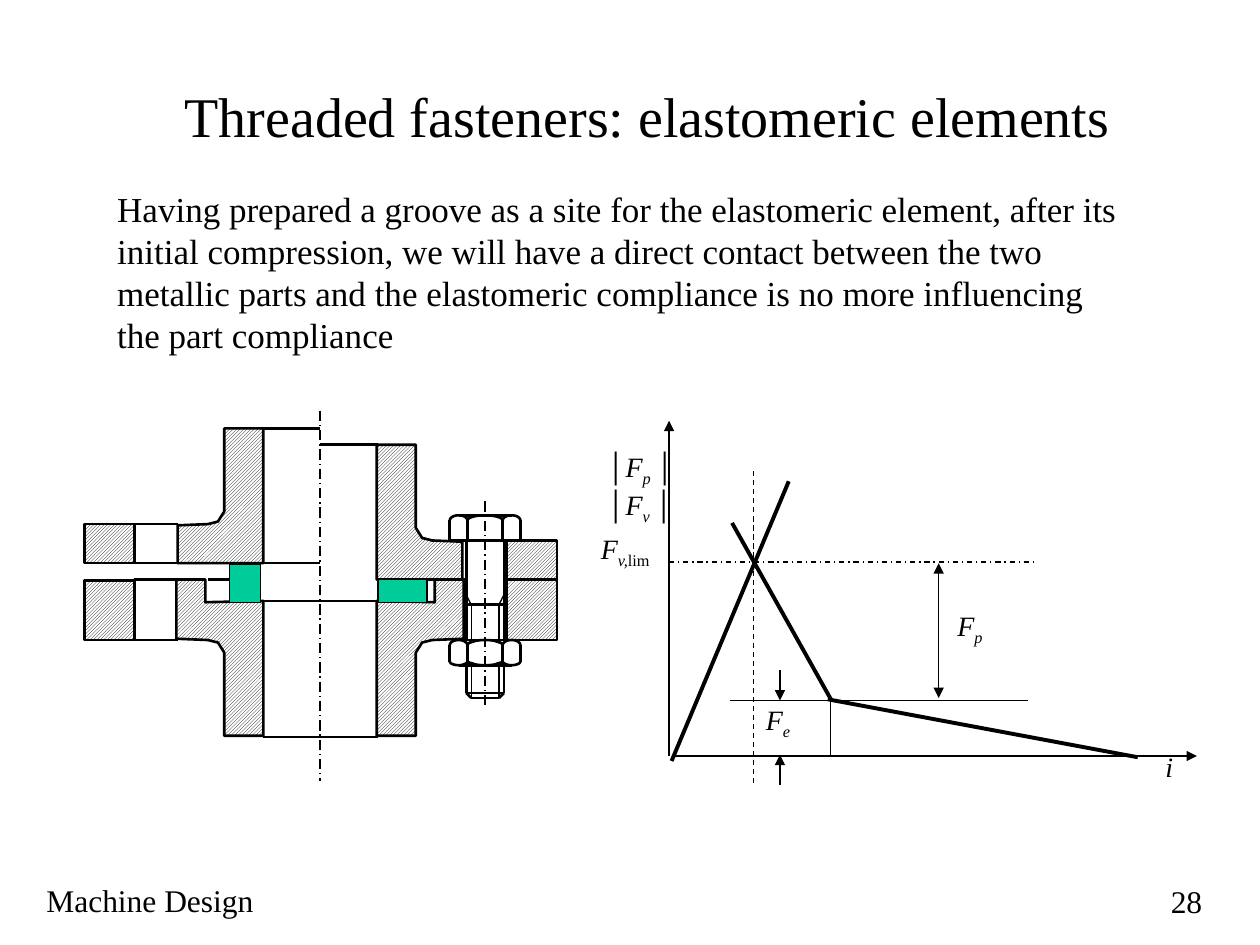
"""Build the slide on elastomeric elements in threaded fasteners."""
import math
from typing import NamedTuple

from lxml import etree
from pptx import Presentation
from pptx import util as u
from pptx.dml.color import RGBColor
from pptx.enum import dml, shapes, text
from pptx.oxml.ns import qn

HUES = {"ink": "000000", "paper": "FFFFFF", "seal": "00CC99"}
FACE = "Times New Roman"
DASH = dml.MSO_LINE
MID = 2.54
BOLT = 3.85


class Line(NamedTuple):
    x1: float
    y1: float
    x2: float
    y2: float
    width: float = 0.75
    dash: dml.MSO_LINE | None = None
    ends: tuple[str, ...] = ()


class Label(NamedTuple):
    x: float
    y: float
    w: float
    h: float
    rows: list[list[tuple[str, str]]]
    size: int = 16
    align: text.PP_ALIGN = text.PP_ALIGN.LEFT
    wrap: bool = True


class Box(NamedTuple):
    x: float
    y: float
    w: float
    h: float
    hatch: bool = False


def hue(name: str) -> RGBColor:
    return RGBColor.from_string(HUES[name])


def draw_line(tree, line: Line) -> None:
    ends = [u.Inches(v) for v in line[:4]]
    wire = tree.add_connector(shapes.MSO_CONNECTOR.STRAIGHT, *ends)
    wire.line.color.rgb = hue("ink")
    wire.line.width = u.Pt(line.width)
    if line.dash is not None:
        wire.line.dash_style = line.dash
    for end in line.ends:
        etree.SubElement(wire.get_or_add_ln(), qn(f"a:{end}End"), type="triangle")
    etree.SubElement(wire._element.spPr, qn("a:effectLst"))


def style(shape, width: float, hatch: bool = False) -> None:
    shape.shadow.inherit = False
    shape.line.color.rgb = hue("ink")
    shape.line.width = u.Pt(width)
    if hatch:
        shape.fill.patterned()
        shape.fill.pattern = dml.MSO_PATTERN.LIGHT_UPWARD_DIAGONAL
        shape.fill.fore_color.rgb = hue("ink")
        shape.fill.back_color.rgb = hue("paper")
    else:
        shape.fill.background()


def draw_box(tree, box: Box) -> None:
    sides = [u.Inches(v) for v in box[:4]]
    shape = tree.add_shape(shapes.MSO_SHAPE.RECTANGLE, *sides)
    style(shape, 1.5 if box.hatch else 0.75, box.hatch)
    if not box.hatch:
        shape.fill.solid()
        shape.fill.fore_color.rgb = hue("seal")


def draw_path(tree, dots: list[tuple[float, float]], width: float = 1.5,
              closed: bool = True, hatch: bool = False) -> None:
    dots = [(u.Inches(x), u.Inches(y)) for x, y in dots]
    pen = tree.build_freeform(*dots[0])
    pen.add_line_segments(dots[1:], close=closed)
    style(pen.convert_to_shape(), width, hatch)


def draw_arcs(tree, base: float, rise: float) -> None:
    for mid, rad in ((-0.21, 0.07), (0, 0.14), (0.21, 0.07)):
        turns = [math.pi * k / 12 for k in range(13)]
        dots = [(BOLT + mid + rad * math.cos(t), base - rise * math.sin(t)) for t in turns]
        draw_path(tree, dots, closed=False)


def draw_label(tree, label: Label) -> None:
    box = tree.add_textbox(*[u.Inches(v) for v in label[:4]])
    frame = box.text_frame
    frame.word_wrap = label.wrap
    for k, row in enumerate(label.rows):
        para = frame.add_paragraph() if k else frame.paragraphs[0]
        para.alignment = label.align
        for words, marks in row:
            run = para.add_run()
            run.text = words
            run.font.name = FACE
            run.font.size = u.Pt(label.size)
            run.font.color.rgb = hue("ink")
            run.font.italic = "i" in marks
            if "s" in marks:
                run._r.get_or_add_rPr().set("baseline", "-25000")


def fill_holder(holder, words: str, spot: tuple, size: int, align) -> None:
    holder.left, holder.top, holder.width, holder.height = [u.Inches(v) for v in spot]
    frame = holder.text_frame
    frame.text = words
    frame.word_wrap = True
    frame.auto_size = text.MSO_AUTO_SIZE.NONE
    frame.vertical_anchor = text.MSO_ANCHOR.TOP
    para = frame.paragraphs[0]
    props = para._p.get_or_add_pPr()
    props.set("marL", "0")
    props.set("indent", "0")
    etree.SubElement(props, qn("a:buNone"))
    para.alignment = align
    para.space_before = u.Pt(0)
    font = para.runs[0].font
    font.name, font.size = FACE, u.Pt(size)
    font.color.rgb = hue("ink")


def draw_graph(tree) -> None:
    for line in (
        Line(5.31, 6, 5.31, 3.34, ends=("tail",)),
        Line(5.33, 6, 9.5, 6, ends=("tail",)),
        Line(5.31, 4.46, 8.22, 4.46, dash=DASH.DASH_DOT),
        Line(5.33, 6.04, 6.26, 3.82, 2.25),
        Line(9.03, 6.01, 6.57, 5.55, 2.25),
        Line(5.98, 3.74, 5.98, 6.22, dash=DASH.DASH),
        Line(6.6, 5.56, 5.81, 4.15, 2.25),
        Line(5.79, 5.56, 8.16, 5.56),
        Line(6.59, 5.56, 6.59, 5.99),
        Line(7.45, 4.47, 7.45, 5.54, ends=("head", "tail")),
        Line(6.19, 5.56, 6.19, 5.32, ends=("head",)),
        Line(6.19, 6.23, 6.19, 5.99, ends=("tail",)),
    ):
        draw_line(tree, line)
    bars = [[("│", ""), ("F", "i"), (f"{sub} ", "is"), ("│", "")] for sub in "pv"]
    for label in (
        Label(4.71, 3.52, 0.87, 0.64, bars),
        Label(9.15, 5.9, 0.26, 0.37, [[("i", "i")]], wrap=False),
        Label(4.67, 4.17, 0.91, 0.37, [[("F", "i"), ("v,", "is"), ("lim", "s")]]),
        Label(5.98, 5.53, 0.52, 0.37, [[("F", "i"), ("e", "is")]]),
        Label(7.5, 4.78, 0.52, 0.37, [[("F", "i"), ("p", "is")]]),
    ):
        draw_label(tree, label)


def draw_flange(tree) -> None:
    upper = [(2.09, 3.4), (2.09, 4.47), (1.41, 4.47), (1.41, 4.17), (1.65, 4.16),
             (1.73, 4.14), (1.78, 4.06), (1.78, 3.4)]
    lower = [(2.09, 5.84), (2.09, 4.77), (1.63, 4.78), (1.63, 4.6), (1.4, 4.6),
             (1.4, 5.07), (1.65, 5.08), (1.73, 5.1), (1.78, 5.18), (1.78, 5.84)]
    for dots, drop in ((upper, 0.13), (lower, 0)):
        draw_path(tree, dots, hatch=True)
        draw_path(tree, [(2 * MID - x, y + drop) for x, y in dots], hatch=True)
    for box in (Box(0.67, 4.16, 0.4, 0.31, True), Box(4.02, 4.29, 0.4, 0.31, True),
                Box(0.67, 4.61, 0.4, 0.47, True), Box(4.02, 4.6, 0.4, 0.48, True),
                Box(1.82, 4.48, 0.25, 0.3), Box(3, 4.6, 0.39, 0.18)):
        draw_box(tree, box)
    levels = [(1.06, 1.41, y) for y in (4.16, 4.47, 4.6, 5.08)]
    levels += [(3.68, 4.02, 4.29), (3.68, 4.02, 5.08), (2.08, 3, 4.77), (2.09, 2.54, 4.47),
               (2.09, 2.54, 3.4), (2.54, 3, 3.53), (1.65, 1.82, 4.6), (2.09, 3, 5.85)]
    for x1, x2, y in levels:
        draw_line(tree, Line(x1, y, x2, y, 1.5))
    draw_line(tree, Line(MID, 3.26, MID, 6.2, dash=DASH.LONG_DASH_DOT))


def draw_bolt(tree) -> None:
    pairs = [(0.15, 4.29, 0.15, 5.08, 1.5), (0.11, 4.8, 0.11, 5.08, 0.75),
             (0.11, 4.8, 0.15, 4.72, 0.75), (0.14, 4.13, 0.14, 4.29, 1.5),
             (0.28, 4.13, 0.28, 4.29, 1.5), (0.14, 5.12, 0.14, 5.25, 1.5),
             (0.28, 5.12, 0.28, 5.25, 1.5), (0.15, 5.28, 0.15, 5.5, 1.5),
             (0.11, 5.28, 0.11, 5.54, 0.75), (0.15, 5.5, 0.11, 5.54, 1.5),
             (0.17, 4.6, 0.15, 4.6, 2.25)]
    lens = [(-0.19, 5.08), (-0.05, 5.08), (-0.1, 5.1), (-0.14, 5.11), (-0.15, 5.1)]
    for side in (-1, 1):
        for x1, y1, x2, y2, width in pairs:
            draw_line(tree, Line(BOLT + side * x1, y1, BOLT + side * x2, y2, width))
        draw_path(tree, [(BOLT + side * x, y) for x, y in lens], 0.75)
        draw_path(tree, [(BOLT + side * x, 10.36 - y) for x, y in lens], 0.75)
    for half, y in ((0.15, 4.8), (0.28, 4.29), (0.21, 4.09), (0.21, 5.08),
                    (0.21, 5.28), (0.15, 5.5), (0.11, 5.54)):
        draw_line(tree, Line(BOLT - half, y, BOLT + half, y, 1.5))
    for base, rise in ((4.13, 0.04), (5.12, 0.04), (5.25, -0.03)):
        draw_arcs(tree, base, rise)
    draw_line(tree, Line(BOLT, 3.98, BOLT, 5.62, dash=DASH.LONG_DASH_DOT))


def main() -> None:
    deck = Presentation()
    deck.slide_width, deck.slide_height = u.Inches(10), u.Inches(7.5)
    slide = deck.slides.add_slide(deck.slide_layouts[1])
    fill_holder(slide.shapes.title, "Threaded fasteners: elastomeric elements",
                (1.29, 0.6, 7.7, 0.63), 32, text.PP_ALIGN.CENTER)
    fill_holder(slide.placeholders[1],
                "Having prepared a groove as a site for the elastomeric element, after its "
                "initial compression, we will have a direct contact between the two metallic "
                "parts and the elastomeric compliance is no more influencing the part compliance",
                (0.83, 1.44, 8.19, 1.43), 20, text.PP_ALIGN.LEFT)
    tree = slide.shapes
    draw_label(tree, Label(0.27, 6.94, 3.17, 0.5, [[("Machine Design", "")]], 18))
    draw_label(tree, Label(7.56, 6.95, 2.08, 0.5, [[("28", "")]], 18, text.PP_ALIGN.RIGHT))
    draw_graph(tree)
    draw_flange(tree)
    draw_bolt(tree)
    deck.save("out.pptx")


if __name__ == "__main__":
    main()
